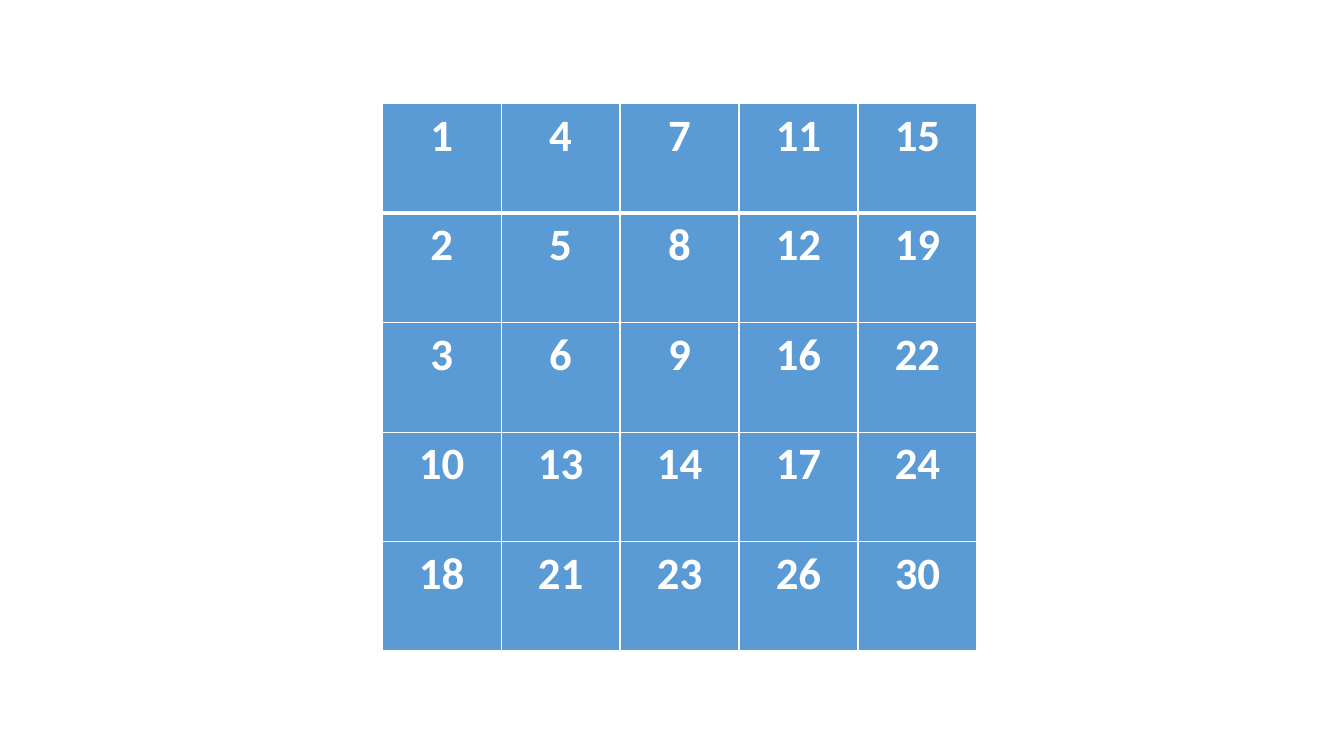
from typing import NamedTuple

from lxml.etree import SubElement
from pptx import Presentation
from pptx.dml.color import RGBColor
from pptx.enum.text import PP_ALIGN
from pptx.oxml.ns import qn
from pptx.table import _Cell
from pptx.util import Inches, Pt

WHITE = RGBColor(0xFF, 0xFF, 0xFF)
BLUE = RGBColor(0x5B, 0x9B, 0xD5)
THIN, THICK = Pt(1), Pt(3)

GRID = [
    [1, 4, 7, 11, 15],
    [2, 5, 8, 12, 19],
    [3, 6, 9, 16, 22],
    [10, 13, 14, 17, 24],
    [18, 21, 23, 26, 30],
]


class Edge(NamedTuple):
    tag: str
    width: int


def add_edge(cell: _Cell, edge: Edge) -> None:
    line = SubElement(cell._tc.get_or_add_tcPr(), qn(edge.tag), w=str(edge.width))
    fill = SubElement(line, qn("a:solidFill"))
    SubElement(fill, qn("a:srgbClr"), val=str(WHITE))


def fill_cell(cell: _Cell, value: int, edges: list[Edge]) -> None:
    for edge in edges:
        add_edge(cell, edge)
    cell.fill.solid()
    cell.fill.fore_color.rgb = BLUE
    cell.text = str(value)
    label = cell.text_frame.paragraphs[0]
    label.alignment = PP_ALIGN.CENTER
    label.font.name = "Calibri"
    label.font.size = Pt(32)
    label.font.bold = True
    label.font.color.rgb = WHITE


def main() -> None:
    deck = Presentation()
    deck.slide_width, deck.slide_height = Inches(13.33), Inches(7.5)
    slide = deck.slides.add_slide(deck.slide_layouts[6])
    table = slide.shapes.add_table(
        len(GRID), len(GRID[0]),
        Inches(3.79), Inches(1.03), Inches(5.9), Inches(5.43),
    ).table
    for row, values in enumerate(GRID):
        # The thick rule lies between the first two rows.
        edges = [
            Edge("a:lnL", THIN),
            Edge("a:lnR", THIN),
            Edge("a:lnT", THICK if row == 1 else THIN),
            Edge("a:lnB", THICK if row == 0 else THIN),
        ]
        for col, value in enumerate(values):
            fill_cell(table.cell(row, col), value, edges)
    deck.save("out.pptx")


if __name__ == "__main__":
    main()
